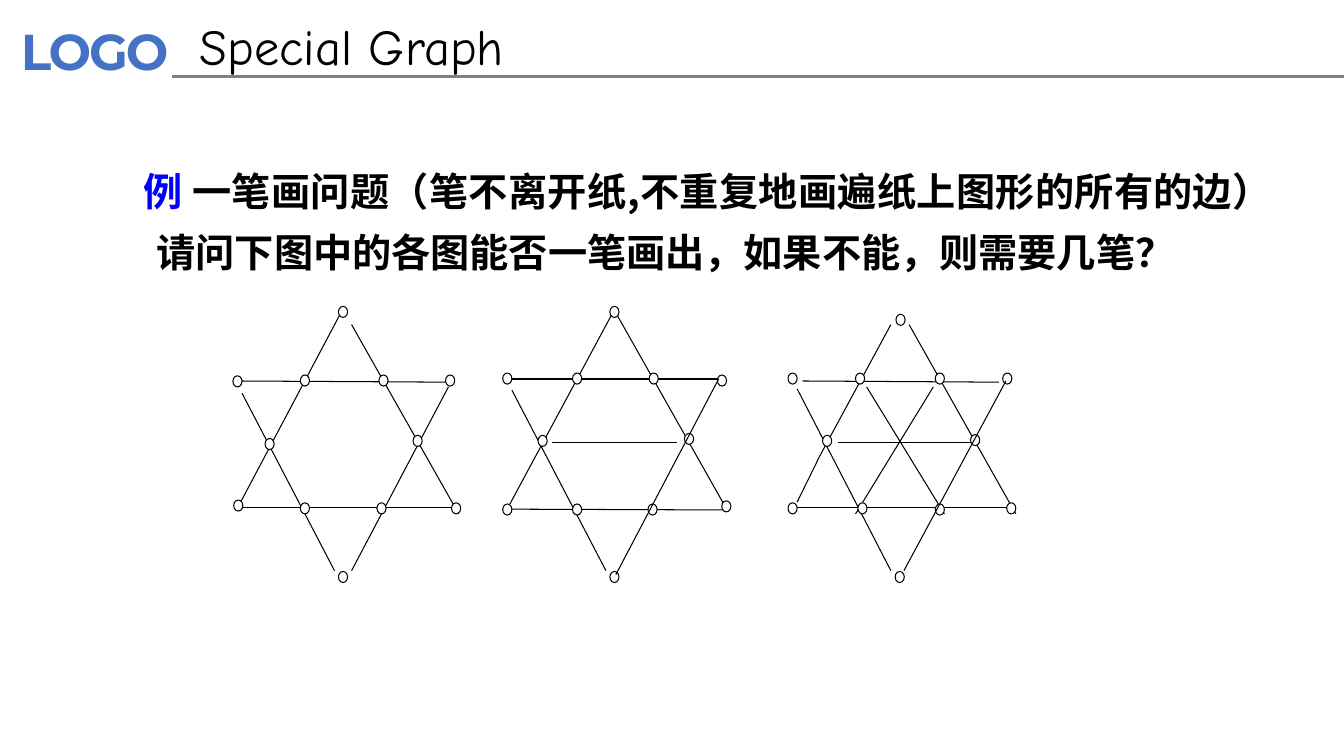
from lxml import etree
from pptx import Presentation
from pptx import util as u
from pptx.dml.color import RGBColor
from pptx.enum import shapes, text
from pptx.oxml.ns import qn

BLACK = RGBColor(0x00, 0x00, 0x00)
WHITE = RGBColor(0xFF, 0xFF, 0xFF)
GRAY = RGBColor(0x80, 0x80, 0x80)
BLUE = RGBColor(0x00, 0x00, 0xFF)
LOGO_BLUE = RGBColor(0x44, 0x72, 0xC4)
CHINESE_FONT = "Noto Sans CJK SC"

# Edges are (x1, y1, x2, y2) and vertices (left, top), all in centimetres.
# Front edges are drawn over the vertices.
STARS = [
    {
        "edges": [
            (5.97, 9.6, 11.35, 9.63), (6.05, 12.8, 11.46, 12.8),
            (8.66, 7.75, 5.97, 12.83), (6.1, 9.91, 8.43, 14.38),
            (8.86, 8.18, 11.56, 12.95), (11.3, 9.75, 8.86, 14.38),
        ],
        "vertices": [
            (8.53, 7.72),
            (5.87, 9.47), (7.57, 9.45), (9.55, 9.45), (11.23, 9.45),
            (6.68, 11.05), (10.41, 10.97),
            (5.89, 12.6), (7.57, 12.67), (9.5, 12.67), (11.38, 12.67),
            (8.53, 14.4),
        ],
        "front_edges": [],
    },
    {
        "edges": [
            (12.8, 9.55, 18.21, 9.55), (12.85, 12.83, 18.26, 12.85),
            (15.42, 7.92, 12.85, 12.7), (12.9, 9.83, 15.27, 14.38),
            (15.54, 7.92, 18.24, 12.7), (13.92, 11.15, 17.07, 11.15),
        ],
        "vertices": [
            (15.37, 7.72),
            (12.67, 9.4), (14.43, 9.4), (16.36, 9.4), (18.08, 9.45),
            (13.56, 10.97), (17.25, 10.92),
            (12.67, 12.7), (14.43, 12.7), (16.33, 12.7), (18.19, 12.62),
            (15.37, 14.4),
        ],
        "front_edges": [(18.11, 9.55, 15.52, 14.48)],
    },
    {
        "edges": [
            (20.22, 9.6, 25.17, 9.63), (20.09, 12.8, 25.48, 12.8),
            (22.45, 8.18, 20.65, 11.51), (20.65, 11.51, 20.09, 12.65),
            (20.09, 9.8, 22.45, 14.38), (22.91, 8.18, 25.6, 12.95),
            (21.11, 11.15, 24.69, 11.15), (21.84, 9.75, 23.8, 12.95),
            (23.52, 9.75, 21.56, 12.95),
        ],
        "vertices": [
            (22.58, 7.92),
            (19.86, 9.4), (21.56, 9.4), (23.57, 9.4), (25.27, 9.4),
            (20.73, 10.97), (24.46, 10.95),
            (19.86, 12.67), (21.62, 12.67), (23.57, 12.7), (25.37, 12.67),
            (22.56, 14.4),
        ],
        "front_edges": [(25.35, 9.6, 22.78, 14.38)],
    },
]


def add_span(para, words, font, size, color=BLACK, bold=False, spacing=None):
    """Append a run; spacing is the letter spacing in points."""
    span = para.add_run()
    span.text = words
    span.font.name = font
    span.font.size = u.Pt(size)
    span.font.bold = bold
    span.font.color.rgb = color
    properties = span.font._element
    etree.SubElement(properties, qn("a:ea")).set("typeface", font)
    if spacing is not None:
        properties.set("spc", str(round(spacing * 100)))


class GraphSlide:
    """Draws on one slide with a shared style for vertices and edges."""

    edge_width = 0.75
    vertex_width, vertex_height = 0.23, 0.28

    def __init__(self, page):
        self.page = page

    def text_box(self, left, top, width, height, inset=(0.25, 0.13)):
        """Add an empty text box and return its first paragraph."""
        box = self.page.shapes.add_textbox(
            u.Cm(left), u.Cm(top), u.Cm(width), u.Cm(height))
        frame = box.text_frame
        frame.word_wrap = True
        frame.margin_left = frame.margin_right = u.Cm(inset[0])
        frame.margin_top = frame.margin_bottom = u.Cm(inset[1])
        return frame.paragraphs[0]

    def line(self, x1, y1, x2, y2, color=BLACK, width=edge_width):
        line = self.page.shapes.add_connector(
            shapes.MSO_CONNECTOR.STRAIGHT,
            u.Cm(x1), u.Cm(y1), u.Cm(x2), u.Cm(y2))
        line.line.color.rgb = color
        line.line.width = u.Pt(width)
        etree.SubElement(line._element.spPr, qn("a:effectLst"))

    def vertex(self, left, top):
        circle = self.page.shapes.add_shape(
            shapes.MSO_SHAPE.OVAL, u.Cm(left), u.Cm(top),
            u.Cm(self.vertex_width), u.Cm(self.vertex_height))
        circle.shadow.inherit = False
        circle.fill.solid()
        circle.fill.fore_color.rgb = WHITE
        circle.line.color.rgb = BLACK
        circle.line.width = u.Pt(self.edge_width)

    def star(self, edges, vertices, front_edges):
        for edge in edges:
            self.line(*edge)
        for vertex in vertices:
            self.vertex(*vertex)
        for edge in front_edges:
            self.line(*edge)

    def header(self):
        logo = self.text_box(0.2, 0.33, 4.72, 1.88, inset=(0.33, 0.18))
        add_span(logo, "LOGO", "Montserrat", 36, LOGO_BLUE, bold=True, spacing=-1.5)
        self.line(4.34, 1.93, 33.87, 1.93, color=GRAY, width=2)
        title = self.text_box(4.78, 0.25, 21.89, 1.8)
        add_span(title, "Special Graph", "Comic Neue", 36)

    def question(self):
        para = self.text_box(2.74, 3.73, 29.57, 15.19)
        para.alignment = text.PP_ALIGN.JUSTIFY
        para.line_spacing = 1.3
        para.space_before = u.Pt(5.6)
        indents = para._p.get_or_add_pPr()
        indents.set("marL", str(u.Cm(0.96)))
        indents.set("indent", str(u.Cm(-0.33)))
        add_span(para, "例 ", CHINESE_FONT, 28, BLUE, bold=True)
        add_span(
            para,
            "一笔画问题（笔不离开纸,不重复地画遍纸上图形的所有的边） "
            "请问下图中的各图能否一笔画出，如果不能，则需要几笔？",
            CHINESE_FONT, 28, bold=True)


def main():
    deck = Presentation()
    deck.slide_width, deck.slide_height = u.Cm(33.87), u.Cm(19.05)
    slide = GraphSlide(deck.slides.add_slide(deck.slide_layouts[6]))
    slide.header()
    slide.question()
    for star in STARS:
        slide.star(**star)
    deck.save("out.pptx")


if __name__ == "__main__":
    main()
